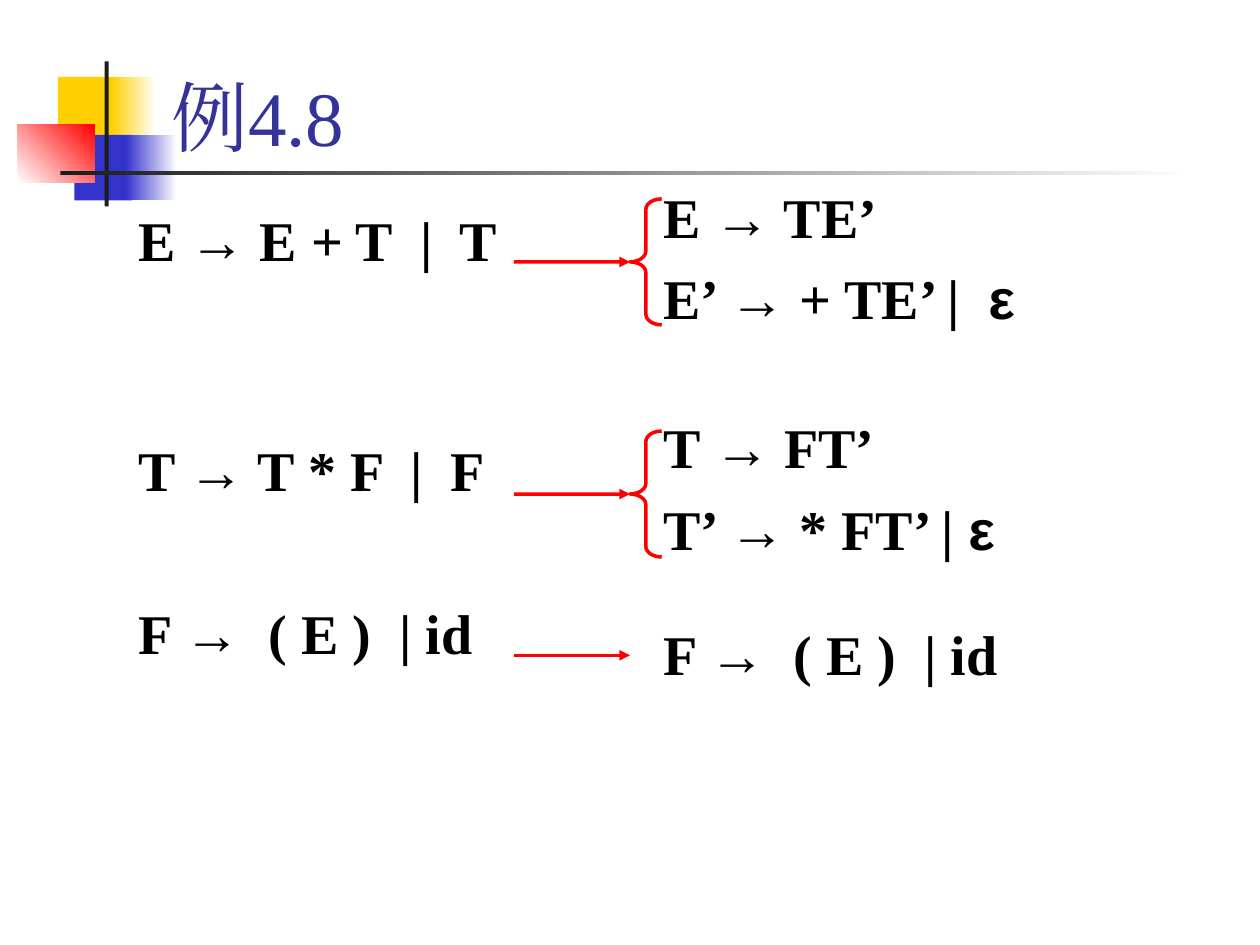
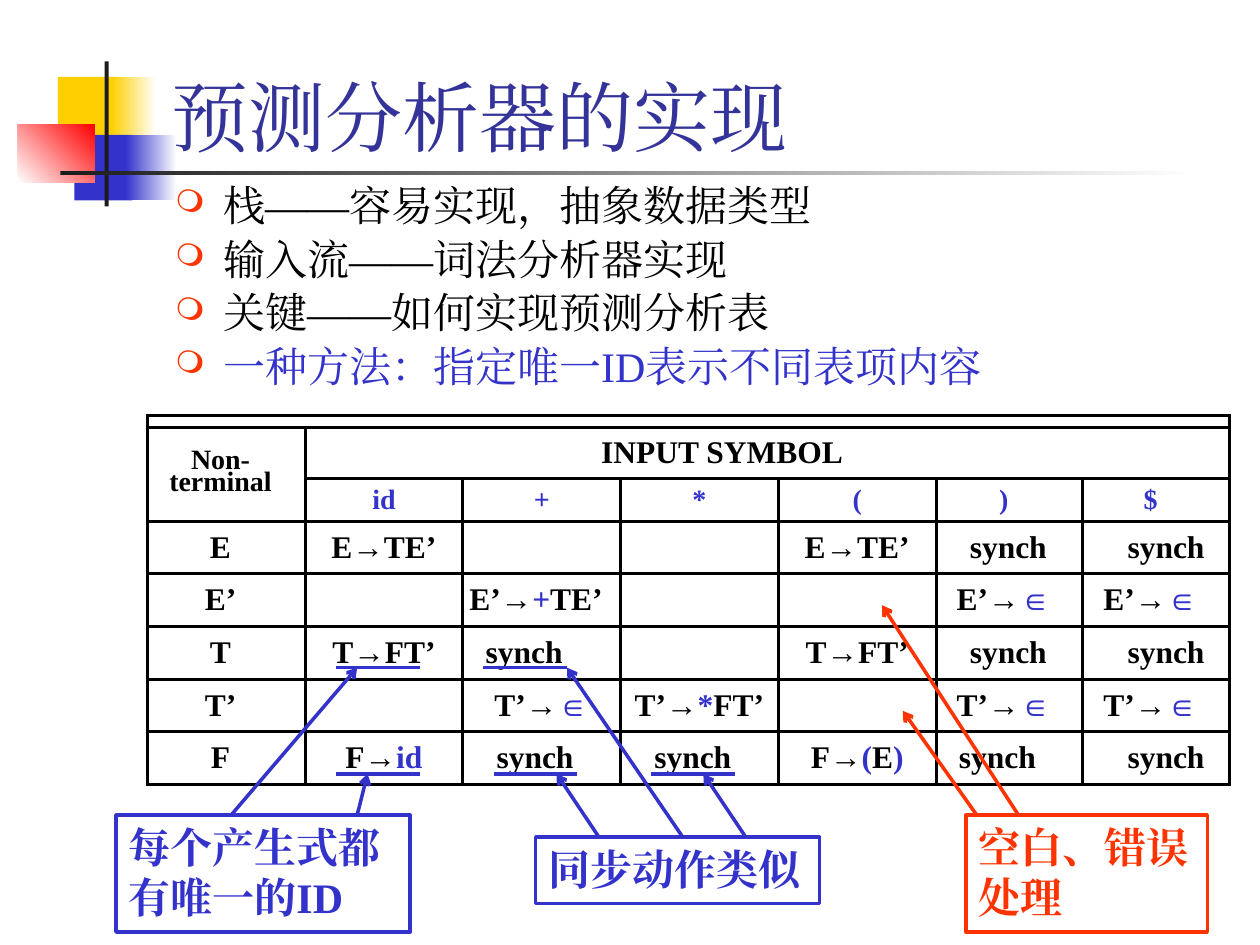
import lxml.etree
import pptx
import pptx.dml.color
import pptx.enum.shapes
import pptx.enum.text
import pptx.oxml.ns
import pptx.util

Cm = pptx.util.Cm
Pt = pptx.util.Pt
RGBColor = pptx.dml.color.RGBColor
SHAPE = pptx.enum.shapes.MSO_SHAPE
ANCHOR = pptx.enum.text.MSO_ANCHOR
ALIGN = pptx.enum.text.PP_ALIGN

BLACK = RGBColor(0x00, 0x00, 0x00)
WHITE = RGBColor(0xFF, 0xFF, 0xFF)
CHARCOAL = RGBColor(0x1C, 0x1C, 0x1C)
YELLOW = RGBColor(0xFF, 0xCF, 0x01)
BLUE = RGBColor(0x33, 0x33, 0xCC)
TITLE_BLUE = RGBColor(0x33, 0x33, 0x99)
RED = RGBColor(0xFF, 0x00, 0x00)
ORANGE = RGBColor(0xFF, 0x33, 0x00)

SERIF = "Times New Roman"
SANS = "Arial"
LINE_WIDTH = Pt(2)

DECORATIONS = [
    (1.17, 1.55, 1.22, 1.32, [YELLOW], 0),
    (2.24, 1.55, 0.91, 1.32, [YELLOW, WHITE], 0),
    (1.5, 2.72, 1.17, 1.32, [BLUE], 0),
    (2.54, 2.72, 1.02, 1.32, [BLUE, WHITE], 0),
    (0.36, 2.51, 1.55, 1.17, [WHITE, RED], 45),
    (2.11, 1.24, 0.08, 2.92, [CHARCOAL], 0),
    (1.22, 3.45, 22.86, 0.08, [CHARCOAL, WHITE], 0),
]

PARSE_TABLE = [
    [""] * 7,
    ["Non-terminal", "INPUT SYMBOL", "", "", "", "", ""],
    ["", "~id~", "~+~", "~*~", "~(~", "~)~", "~$~"],
    ["E", "E→TE’", "", "", "E→TE’", "synch", "synch"],
    ["E’", "", "E’→~+~TE’", "", "", "E’→~∈~", "E’→~∈~"],
    ["T", "T→FT’", "synch", "", "T→FT’", "synch", "synch"],
    ["T’", "", "T’→~∈~", "T’→~*~FT’", "", "T’→~∈~", "T’→~∈~"],
    ["F", "F→~id~", "synch", "synch", "F→~(~E~)~", "synch", "synch"],
]
COLUMN_WIDTHS = [3.18] * 5 + [2.96] * 2
ROW_HEIGHTS = [0.23, 1.04, 0.86] + [1.06] * 5
ROW_FONT_SIZES = [4, 18, 16] + [18] * 5
SYNCH_INDENTS = {2: 0.68, 3: 0.68, 5: 0.68, 6: 0.9}
NARROW_SYNCH_CELLS = {(5, 2), (7, 5)}
SHIFTED_COLUMNS = {0, 5, 6}

UPPER_LINE, LOWER_LINE = 13.46, 15.6
CALLOUT_TOP, SYNCH_CALLOUT_TOP = 16.43, 16.87
UNDERLINES = [(6.77, UPPER_LINE), (6.77, LOWER_LINE), (9.74, UPPER_LINE),
              (9.95, LOWER_LINE), (13.12, LOWER_LINE)]
CALLOUTS = [
    ("每个产生式都有唯一的ID", 2.34, CALLOUT_TOP, 5.93, 2.36, BLUE,
     [(7.2, 7.41, LOWER_LINE), (4.66, 7.2, UPPER_LINE)]),
    ("同步动作类似", 10.8, SYNCH_CALLOUT_TOP, 5.72, 1.35, BLUE,
     [(15.03, 14.18, LOWER_LINE), (12.07, 11.22, LOWER_LINE), (13.76, 11.43, UPPER_LINE)]),
    ("空白、错误处理", 19.47, CALLOUT_TOP, 4.87, 2.36, ORANGE,
     [(19.69, 18.2, 14.33), (20.53, 17.78, 12.2)]),
]


def add_element(parent, tag, **attributes):
    element = lxml.etree.SubElement(parent, pptx.oxml.ns.qn(tag))
    for name, value in attributes.items():
        element.set(name, str(value))
    return element


def write_text(paragraph, text, size=32, color=BLACK, bold=True, align=None, spacing=None,
               before=0, accent_color=None, accent_font=SERIF):
    paragraph.alignment = align
    paragraph.line_spacing = spacing
    paragraph.space_before = Pt(before)
    for index, part in enumerate(text.split("~")):
        if not part:
            continue
        accented = index % 2 == 1
        run = paragraph.add_run()
        run.text = part
        font = run.font
        font.size = Pt(size)
        font.bold = bold
        font.color.rgb = accent_color if accented and accent_color else color
        font.name = accent_font if accented else SERIF
        add_element(font._element, "a:ea", typeface=font.name)
    if not text:
        add_element(paragraph._p, "a:endParaRPr", sz=size * 100)


def write_lines(frame, lines, gaps, **text_format):
    frame.word_wrap = True
    for index, line in enumerate(lines):
        paragraph = frame.add_paragraph() if index else frame.paragraphs[0]
        write_text(paragraph, line, before=gaps[index - 1] if index else 0, **text_format)


def add_text(slide, lines, left, top, width, height, gaps=(), **text_format):
    box = slide.shapes.add_textbox(Cm(left), Cm(top), Cm(width), Cm(height))
    write_lines(box.text_frame, lines, gaps, **text_format)
    return box.text_frame


def add_outline(slide, kind, left, top, width, height, color):
    shape = slide.shapes.add_shape(kind, Cm(left), Cm(top), Cm(width), Cm(height))
    shape.shadow.inherit = False
    shape.fill.background()
    shape.line.color.rgb = color
    shape.line.width = LINE_WIDTH
    return shape


def add_line(slide, start, end, color, head=None):
    connector = slide.shapes.add_connector(
        pptx.enum.shapes.MSO_CONNECTOR.STRAIGHT, *[Cm(value) for value in start + end])
    connector.line.color.rgb = color
    connector.line.width = LINE_WIDTH
    if head:
        add_element(connector.line._get_or_add_ln(), "a:tailEnd", type=head)
    add_element(connector._element.spPr, "a:effectLst")
    return connector


def add_decoration(slide, left, top, width, height, colors, angle):
    shape = slide.shapes.add_shape(SHAPE.RECTANGLE, Cm(left), Cm(top), Cm(width), Cm(height))
    shape.shadow.inherit = False
    shape.line.fill.background()
    if len(colors) == 1:
        shape.fill.solid()
        shape.fill.fore_color.rgb = colors[0]
        return
    shape.fill.gradient()
    shape.fill.gradient_angle = angle
    for stop, color in zip(shape.fill.gradient_stops, colors):
        stop.color.rgb = color


def add_titled_slide(presentation, title):
    slide = presentation.slides.add_slide(presentation.slide_layouts[6])
    for decoration in DECORATIONS:
        add_decoration(slide, *decoration)
    frame = add_text(slide, [title], 3.2, 0.2, 21.64, 3.18,
                     size=44, color=TITLE_BLUE, bold=False)
    frame.vertical_anchor = ANCHOR.BOTTOM
    return slide


def add_braced_rules(slide, rules, text_top, brace_top):
    add_text(slide, rules, 13.13, text_top, 8.53, 3.1, gaps=[16],
             spacing=0.8, accent_font=SANS)
    brace = add_outline(slide, SHAPE.LEFT_BRACE, 12.7, brace_top, 0.64, 2.54, RED)
    brace.adjustments[0] = 0.333
    middle = brace_top + 1.27
    arrow = add_line(slide, (10.36, middle), (12.7, middle), RED, "triangle")
    arrow.end_connect(brace, 1)


def add_bullet(paragraph):
    properties = paragraph._p.get_or_add_pPr()
    properties.set("marL", str(Cm(0.97)))
    properties.set("indent", str(-Cm(0.97)))
    add_element(add_element(properties, "a:buClr"), "a:srgbClr", val=ORANGE)
    add_element(properties, "a:buSzPct", val=75000)
    add_element(properties, "a:buChar", char="❍")


def add_cell_borders(cell):
    properties = cell._tc.get_or_add_tcPr()
    for tag in ("a:lnL", "a:lnR", "a:lnT", "a:lnB"):
        border = add_element(properties, tag, w=LINE_WIDTH)
        add_element(add_element(border, "a:solidFill"), "a:srgbClr", val=BLACK)
    cell.fill.background()


def fill_cell(cell, text, row, column):
    align, left, right, size, spacing = ALIGN.CENTER, 0, 0, ROW_FONT_SIZES[row], None
    if column in SHIFTED_COLUMNS or text.startswith("E’→~+"):
        right = 0.23
    if text == "synch":
        align, right = ALIGN.LEFT, 0
        left = 0.46 if (row, column) in NARROW_SYNCH_CELLS else SYNCH_INDENTS[column]
    elif text == "INPUT SYMBOL":
        align, left = ALIGN.LEFT, 5.97
    elif text == "Non-terminal":
        left, right, size, spacing = 0.25, 0.48, 16, 0.7
    cell.margin_left, cell.margin_right = Cm(left), Cm(right)
    cell.margin_top = cell.margin_bottom = 0
    cell.vertical_anchor = ANCHOR.MIDDLE
    write_text(cell.text_frame.paragraphs[0], text, size=size, align=align,
               spacing=spacing, accent_color=BLUE)
    add_cell_borders(cell)


def add_parse_table(slide):
    table = slide.shapes.add_table(
        len(ROW_HEIGHTS), len(COLUMN_WIDTHS), Cm(2.97), Cm(8.38),
        Cm(sum(COLUMN_WIDTHS)), Cm(sum(ROW_HEIGHTS))).table
    table.first_row = table.horz_banding = False
    for column, width in zip(table.columns, COLUMN_WIDTHS):
        column.width = Cm(width)
    for row, height in zip(table.rows, ROW_HEIGHTS):
        row.height = Cm(height)
    for row, texts in enumerate(PARSE_TABLE):
        for column, text in enumerate(texts):
            fill_cell(table.cell(row, column), text, row, column)
    for first, last in (((0, 0), (0, 6)), ((1, 0), (2, 0)), ((1, 1), (1, 6))):
        table.cell(*first).merge(table.cell(*last))


def add_callout(slide, text, left, top, width, height, color, arrows):
    box = add_outline(slide, SHAPE.RECTANGLE, left, top, width, height, color)
    box.text_frame.vertical_anchor = ANCHOR.TOP
    write_lines(box.text_frame, [text], (), size=24, color=color, align=ALIGN.LEFT)
    for start_x, end_x, end_y in arrows:
        add_line(slide, (start_x, top), (end_x, end_y), color, "arrow")


def build_grammar_slide(presentation):
    slide = add_titled_slide(presentation, "例4.8")
    add_text(slide, ["E → E + T  |  T", "T → T * F  |  F", "F →  ( E )  | id"],
             2.54, 4.01, 8.69, 9.88, gaps=[93, 55])
    add_braced_rules(slide, ["E → TE’", "E’ → + TE’ |  ~ε~"], 3.81, 4.01)
    add_braced_rules(slide, ["T → FT’", "T’ → * FT’ | ~ε~"], 8.46, 8.69)
    add_text(slide, ["F →  ( E )  | id"], 13.13, 12.37, 7.8, 1.6)
    add_line(slide, (10.36, 13.21), (12.7, 13.21), RED, "triangle")


def build_parser_slide(presentation):
    slide = add_titled_slide(presentation, "预测分析器的实现")
    points = ["栈——容易实现，抽象数据类型", "输入流——词法分析器实现",
              "关键——如何实现预测分析表", "~一种方法：指定唯一ID表示不同表项内容~"]
    frame = add_text(slide, points, 3.28, 3.61, 21.59, 4.45, gaps=[4.8] * 3,
                     size=24, bold=False, spacing=0.9, accent_color=BLUE)
    for paragraph in frame.paragraphs:
        add_bullet(paragraph)
    add_parse_table(slide)
    for left, y in UNDERLINES:
        add_line(slide, (left, y), (left + 1.69, y), BLUE)
    for callout in CALLOUTS:
        add_callout(slide, *callout)


def main():
    presentation = pptx.Presentation()
    presentation.slide_width = Cm(25.4)
    presentation.slide_height = Cm(19.05)
    build_grammar_slide(presentation)
    build_parser_slide(presentation)
    presentation.save("out.pptx")


if __name__ == "__main__":
    main()
